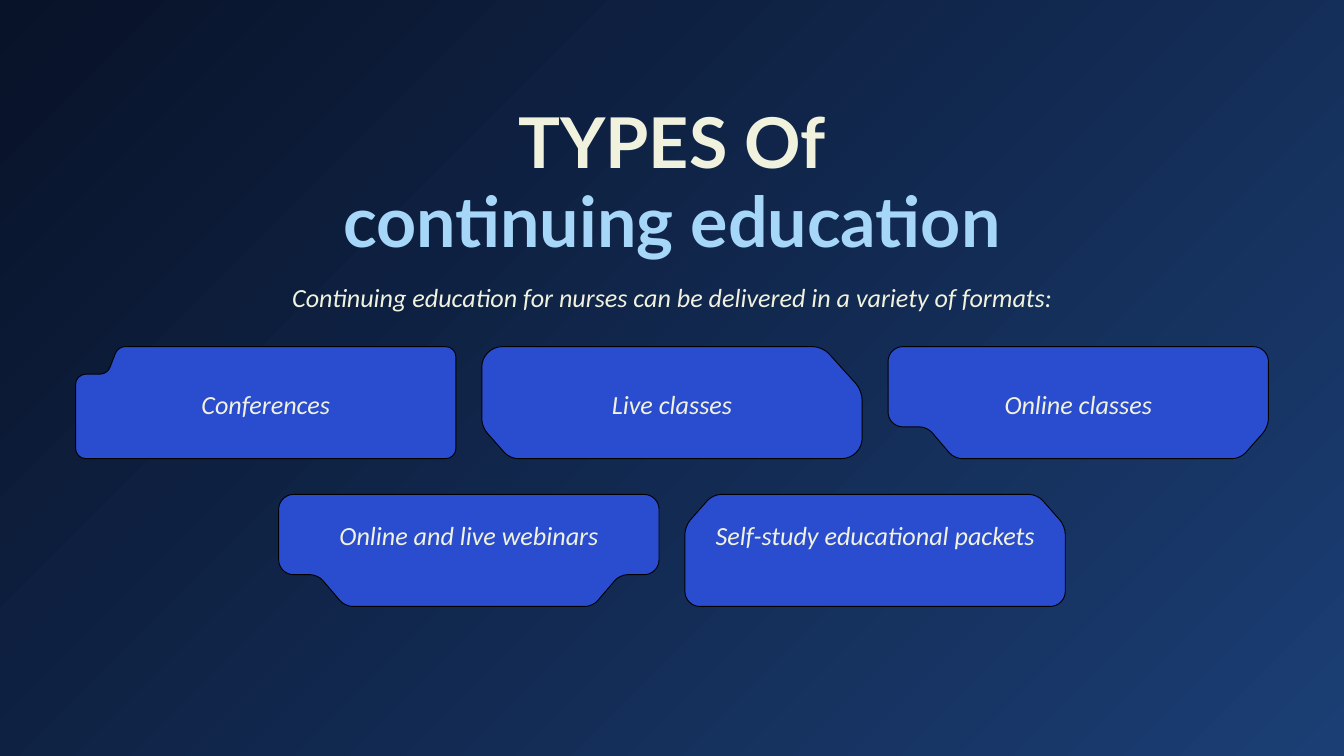
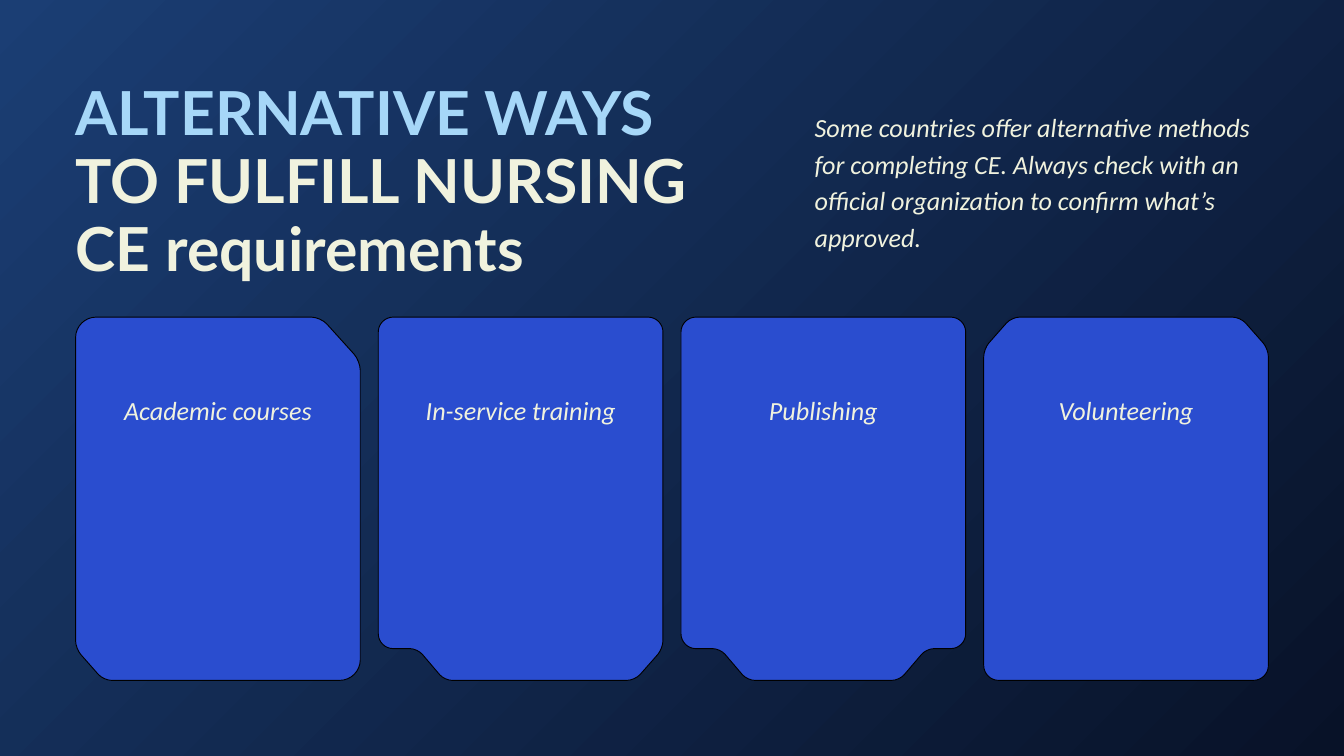
from math import dist

from lxml import etree
from pptx import Presentation
from pptx.dml.color import RGBColor
from pptx.enum.text import MSO_ANCHOR, MSO_AUTO_SIZE, PP_ALIGN
from pptx.oxml.ns import qn
from pptx.util import Pt

LEFT, CENTER = PP_ALIGN.LEFT, PP_ALIGN.CENTER
TOP = MSO_ANCHOR.TOP
NO_AUTOFIT = MSO_AUTO_SIZE.NONE

COLORS = {
    "navy": "081228",
    "blue": "1B3E74",
    "card": "2A4DCF",
    "outline": "000000",
    "cream": "F0F2DE",
    "sky": "A6D7F8",
}
SLIDE_WIDTH, SLIDE_HEIGHT = 1440, 810
TITLE_AND_BODY = 1
LABEL_MARGIN = 29
LABEL_HEIGHT = 37.5
HANDLE = 0.45  # distance of a curve handle from the vertex, per rounding length

# A corner runs from the vertical side to the horizontal one:
# (distance inward in x, distance inward in y, rounding length).
ROUND_SMALL = [(0, 0, 11)]
ROUND = [(0, 0, 16)]
ROUND_LARGE = [(0, 0, 22)]
BEVEL = [(0, 34, 8.5), (30, 0, 8.5)]
BEVEL_LARGE = [(0, 47, 10), (42.5, 0, 10)]
STEP = [(0, 34, 16), (42, 34, 8), (71, 0, 8)]
NOTCH = [(0, 29.5, 11), (34, 29.5, 7.5), (45.5, 0, 7.5)]

# Corners clockwise from the top left.
NOTCHED = (NOTCH, ROUND_SMALL, ROUND_SMALL, ROUND_SMALL)
DIAGONAL = (ROUND_LARGE, BEVEL_LARGE, ROUND_LARGE, BEVEL)
STEPPED_LEFT = (ROUND, ROUND, BEVEL, STEP)
STEPPED_BOTH = (ROUND, ROUND, STEP, STEP)
BEVELED_TOP = (BEVEL, BEVEL, ROUND, ROUND)


def color(name):
    return RGBColor.from_string(COLORS[name])


def set_background(slide, focus_color, edge_color):
    """Fill the slide with a circular gradient spreading from the top left."""
    fill = slide.background.fill
    fill.gradient()
    for stop, name in zip(fill.gradient_stops, (focus_color, edge_color)):
        stop.color.rgb = color(name)
    gradient = slide.element.find(".//" + qn("a:gradFill"))
    gradient.remove(gradient.find(qn("a:lin")))
    circle = etree.SubElement(gradient, qn("a:path"), path="circle")
    etree.SubElement(circle, qn("a:fillToRect"), r="100000", b="100000")


def write_text(shape, paragraphs, font="Calibri", size=28, line_height=39.2,
               bold=False, italic=True, align=LEFT):
    """Write paragraphs, each a list of (text, color name) runs."""
    frame = shape.text_frame
    frame.auto_size = NO_AUTOFIT
    frame.word_wrap = True
    frame.vertical_anchor = TOP
    frame.margin_left = frame.margin_right = 0
    frame.margin_top = frame.margin_bottom = 0
    for index, runs in enumerate(paragraphs):
        paragraph = frame.add_paragraph() if index else frame.paragraphs[0]
        properties = paragraph._p.get_or_add_pPr()
        properties.set("marL", "0")
        properties.set("indent", "0")
        etree.SubElement(properties, qn("a:buNone"))
        paragraph.alignment = align
        paragraph.line_spacing = Pt(line_height)
        paragraph.space_before = Pt(0)
        for text, color_name in runs:
            run = paragraph.add_run()
            run.text = text
            run.font.name = font
            run.font.size = Pt(size)
            run.font.bold = bold
            run.font.italic = italic
            run.font.color.rgb = color(color_name)


def place(shape, left, top, width, height):
    shape.left, shape.top = Pt(left), Pt(top)
    shape.width, shape.height = Pt(width), Pt(height)


def add_title(slide, box, paragraphs, **text_format):
    place(slide.shapes.title, *box)
    write_text(slide.shapes.title, paragraphs, font="Lato", bold=True,
               italic=False, **text_format)


def add_intro(slide, box, text, align=LEFT):
    body = slide.placeholders[1]
    place(body, *box)
    write_text(body, [[(text, "cream")]], align=align)


def card_vertices(left, top, width, height, corners):
    """List the sharp vertices clockwise, each with its rounding length."""
    vertices = []
    for index, corner in enumerate(corners):
        on_right, on_bottom = index in (1, 2), index in (2, 3)
        for x, y, rounding in corner if index % 2 == 0 else reversed(corner):
            vertices.append((left + (width - x if on_right else x),
                             top + (height - y if on_bottom else y), rounding))
    return vertices


def toward(start, end, length):
    share = length / dist(start, end)
    return [Pt(a + (b - a) * share) for a, b in zip(start, end)]


def rounded_outline(vertices):
    """Replace each vertex by the start, two handles and end of a curve."""
    points = []
    for index, (x, y, rounding) in enumerate(vertices):
        vertex = (x, y)
        previous = vertices[index - 1][:2]
        following = vertices[(index + 1) % len(vertices)][:2]
        points += [toward(vertex, previous, rounding),
                   toward(vertex, previous, rounding * HANDLE),
                   toward(vertex, following, rounding * HANDLE),
                   toward(vertex, following, rounding)]
    return points


def bend_corners(card):
    """Merge the three segments at each vertex into one Bézier curve."""
    segments = list(card.element.iter(qn("a:lnTo")))
    for first in range(0, len(segments), 4):
        curve = etree.Element(qn("a:cubicBezTo"))
        segments[first].addprevious(curve)
        for segment in segments[first:first + 3]:
            curve.append(segment[0])
            segment.getparent().remove(segment)


def add_card(slide, left, top, width, height, corners):
    points = rounded_outline(card_vertices(left, top, width, height, corners))
    builder = slide.shapes.build_freeform(*points[0])
    builder.add_line_segments(points[1:], close=True)
    card = builder.convert_to_shape()
    bend_corners(card)
    card.shadow.inherit = False
    card.fill.solid()
    card.fill.fore_color.rgb = color("card")
    card.line.color.rgb = color("outline")
    card.line.width = Pt(1)


def add_card_row(slide, cards, top, width, height, gap, label_offset):
    """Center a row of labelled cards on the slide."""
    row_width = len(cards) * (width + gap) - gap
    for index, (label, corners) in enumerate(cards):
        left = (SLIDE_WIDTH - row_width) / 2 + index * (width + gap)
        add_card(slide, left, top, width, height, corners)
        box = slide.shapes.add_textbox(
            Pt(left + LABEL_MARGIN), Pt(top + label_offset),
            Pt(width - 2 * LABEL_MARGIN), Pt(LABEL_HEIGHT))
        write_text(box, [[(label, "cream")]], align=CENTER)


def add_slide(presentation, focus_color, edge_color):
    slide = presentation.slides.add_slide(
        presentation.slide_layouts[TITLE_AND_BODY])
    set_background(slide, focus_color, edge_color)
    return slide


def add_types_slide(presentation):
    slide = add_slide(presentation, "navy", "blue")
    add_title(slide, (229, 111.7, 982, 168.5),
              [[("TYPES Of", "cream")], [("continuing education", "sky")]],
              size=75, line_height=84, align=CENTER)
    add_intro(slide, (261.5, 296, 917, 37.5),
              "Continuing education for nurses can be delivered in a variety "
              "of formats:", align=CENTER)
    card_size = {"width": 407.5, "height": 120, "gap": 27.75}
    add_card_row(slide, [("Conferences", NOTCHED),
                         ("Live classes", DIAGONAL),
                         ("Online classes", STEPPED_LEFT)],
                 top=371.4, label_offset=39.6, **card_size)
    add_card_row(slide, [("Online and live webinars", STEPPED_BOTH),
                         ("Self-study educational packets", BEVELED_TOP)],
                 top=529.75, label_offset=21, **card_size)


def add_alternatives_slide(presentation):
    slide = add_slide(presentation, "blue", "navy")
    add_title(slide, (81, 85.7, 713, 219),
              [[("ALTERNATIVE WAYS", "sky"), (" TO FULFILL NURSING", "cream")],
               [("CE requirements", "cream")]],
              size=65, line_height=72.8)
    add_intro(slide, (872.8, 113.8, 468.7, 154),
              "Some countries offer alternative methods for completing CE. "
              "Always check with an official organization to confirm what’s "
              "approved.")
    add_card_row(slide, [("Academic courses", DIAGONAL),
                         ("In-service training", STEPPED_LEFT),
                         ("Publishing", STEPPED_BOTH),
                         ("Volunteering", BEVELED_TOP)],
                 top=339.8, width=305, height=389.2, gap=19.33,
                 label_offset=77.1)


def main():
    presentation = Presentation()
    presentation.slide_width = Pt(SLIDE_WIDTH)
    presentation.slide_height = Pt(SLIDE_HEIGHT)
    add_types_slide(presentation)
    add_alternatives_slide(presentation)
    presentation.save("out.pptx")


if __name__ == "__main__":
    main()
